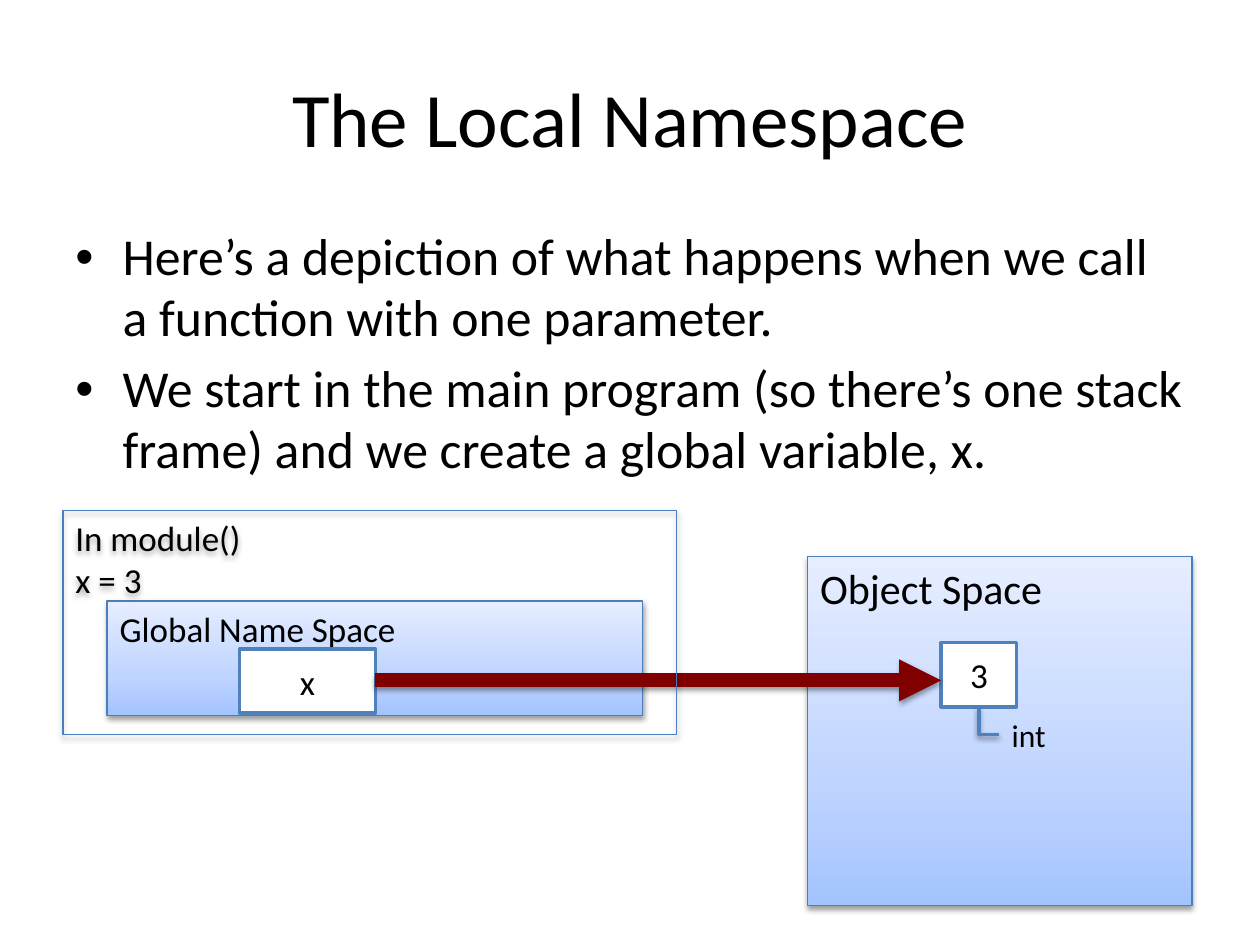
from dataclasses import dataclass
from lxml.etree import SubElement
from pptx import Presentation
from pptx.dml.color import RGBColor
from pptx.enum.shapes import MSO_CONNECTOR as Connector, MSO_SHAPE as Shape
from pptx.enum.text import MSO_ANCHOR as Anchor, PP_ALIGN as Align
from pptx.oxml.ns import qn
from pptx.util import Pt


@dataclass(frozen=True)
class Theme:
    font: str = "Calibri"
    ink: str = "000000"
    white: str = "FFFFFF"
    border: str = "4B7EBC"
    accent: str = "4F81BD"
    arrow: str = "800000"
    gradient: tuple = ((0, "A4C4FF"), (35, "BFD4FF"), (100, "E6EEFF"))
    title: float = 44
    body: float = 29.6
    heading: float = 24
    label: float = 20
    small: float = 18
    thin: float = 0.75
    medium: float = 2
    thick: float = 8


def add_node(parent, tag, **attributes):
    return SubElement(parent, qn(tag), {key: str(value) for key, value in attributes.items()})


class SlideBuilder:
    def __init__(self, page, theme):
        self.page = page
        self.theme = theme

    def set_text(self, box, text, size, align=Align.LEFT, anchor=Anchor.TOP, wrap=True):
        frame = box.text_frame
        frame.text = text
        frame.word_wrap = wrap
        frame.vertical_anchor = anchor
        for para in frame.paragraphs:
            para.alignment = align
            for span in para.runs:
                span.font.name = self.theme.font
                span.font.size = Pt(size)
                span.font.color.rgb = RGBColor.from_string(self.theme.ink)
        return frame

    def title(self, text, left, top, width, height):
        box = self.page.shapes.title
        box.left, box.top, box.width, box.height = Pt(left), Pt(top), Pt(width), Pt(height)
        self.set_text(box, text, self.theme.title, Align.CENTER, Anchor.MIDDLE)

    def text(self, text, left, top, width, height, size, wrap=True):
        box = self.page.shapes.add_textbox(Pt(left), Pt(top), Pt(width), Pt(height))
        return self.set_text(box, text, size, wrap=wrap)

    def bullets(self, items, left, top, width, height):
        frame = self.text("\n".join(items), left, top, width, height, self.theme.body)
        for para in frame.paragraphs:
            para.space_before = Pt(6)
            para.line_spacing = 0.98
            properties = para._p.get_or_add_pPr()
            properties.set("marL", str(Pt(27)))
            properties.set("indent", str(Pt(-27)))
            add_node(properties, "a:buFont", typeface="Arial")
            add_node(properties, "a:buChar", char="•")

    def stroke(self, line, color, width):
        line.color.rgb = RGBColor.from_string(color)
        line.width = Pt(width)

    def shadow(self, effects, opacity=38, distance=1.6):
        outer = add_node(effects, "a:outerShdw", blurRad=Pt(3.1), dist=Pt(distance),
                         dir=90 * 60000, rotWithShape=0)
        color = add_node(outer, "a:srgbClr", val=self.theme.ink)
        add_node(color, "a:alpha", val=opacity * 1000)

    def rectangle(self, left, top, width, height, color, weight):
        box = self.page.shapes.add_shape(Shape.RECTANGLE, Pt(left), Pt(top), Pt(width), Pt(height))
        box.shadow.inherit = False
        self.stroke(box.line, color, weight)
        return box

    def panel(self, text, left, top, width, height, size):
        box = self.rectangle(left, top, width, height, self.theme.border, self.theme.thin)
        box.fill.gradient()
        box.fill.gradient_angle = 90
        stops = box._element.spPr.find(qn("a:gradFill")).find(qn("a:gsLst"))
        stops.clear()
        for position, color in self.theme.gradient:
            add_node(add_node(stops, "a:gs", pos=position * 1000), "a:srgbClr", val=color)
        self.shadow(box._element.spPr.find(qn("a:effectLst")))
        self.set_text(box, text, size)

    def outline(self, text, left, top, width, height, size):
        box = self.rectangle(left, top, width, height, self.theme.border, self.theme.thin)
        box.fill.background()
        self.shadow(box._element.spPr.find(qn("a:effectLst")), 35, 1.8)
        self.set_text(box, text, size)

    def cell(self, text, left, top, width, height):
        box = self.rectangle(left, top, width, height, self.theme.accent, self.theme.medium)
        box.fill.solid()
        box.fill.fore_color.rgb = RGBColor.from_string(self.theme.white)
        self.set_text(box, text, self.theme.label, Align.CENTER, Anchor.MIDDLE)

    def connector(self, kind, start, end, color, weight):
        link = self.page.shapes.add_connector(kind, *map(Pt, start + end))
        self.stroke(link.line, color, weight)
        self.shadow(add_node(link._element.spPr, "a:effectLst"))
        return link

    def arrow(self, start, end):
        link = self.connector(Connector.STRAIGHT, start, end, self.theme.arrow, self.theme.thick)
        add_node(link._element.spPr.find(qn("a:ln")), "a:tailEnd", type="triangle")

    def corner(self, left, top, run, drop):
        middle_x, middle_y = left + run / 2, top + drop / 2
        start = (middle_x + drop / 2, middle_y - run / 2)
        end = (middle_x - drop / 2, middle_y + run / 2)
        link = self.connector(Connector.ELBOW, start, end, self.theme.accent, self.theme.medium)
        properties = link._element.spPr
        properties.find(qn("a:xfrm")).set("rot", str(270 * 60000))
        properties.find(qn("a:prstGeom")).set("prst", "bentConnector2")


deck = Presentation()
deck.slide_width, deck.slide_height = Pt(720), Pt(540)
theme = Theme()
slide = SlideBuilder(deck.slides.add_slide(deck.slide_layouts[5]), theme)

slide.title("The Local Namespace", 36, 21.6, 648, 90)
slide.bullets([
    "Here’s a depiction of what happens when we call a function with one parameter.",
    "We start in the main program (so there’s one stack frame) and we create a global variable, x.",
], 36, 126, 648, 135.4)

slide.panel("Object Space", 461.5, 318.2, 219.6, 199.4, theme.heading)
slide.cell("3", 537.8, 367.2, 43.2, 36.7)
slide.text("int", 571, 405.4, 34.6, 28.8, theme.small, wrap=False)
slide.corner(559.4, 403.9, 11.5, 15.8)

slide.panel("Global Name Space ", 61.2, 343.4, 306, 65.5, theme.label)
slide.cell("x", 136.8, 370.8, 77.8, 36.7)
slide.arrow((214.2, 388.8), (537.8, 388.8))
slide.outline("In module()\nx = 3", 36, 291.6, 350.6, 128.2, theme.label)

deck.save("out.pptx")
